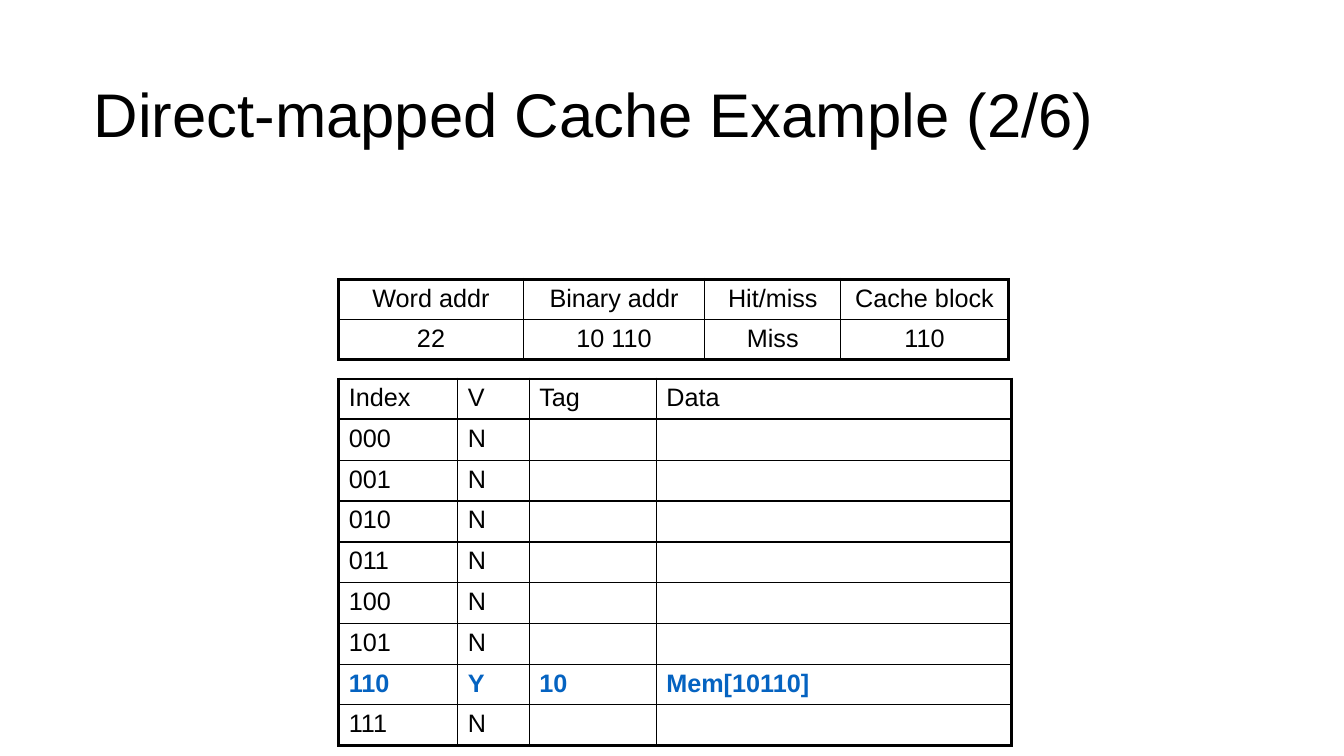
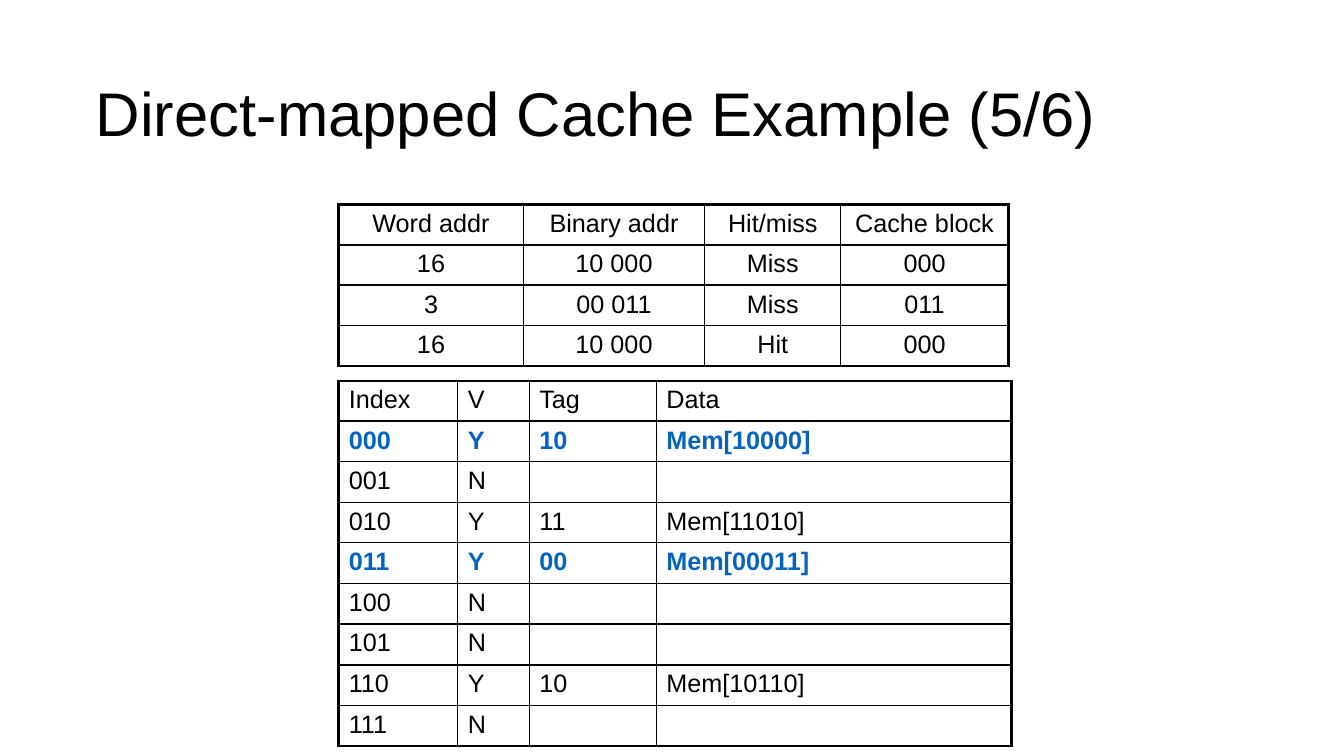
from lxml.etree import SubElement
from pptx import Presentation
from pptx.dml.color import RGBColor
from pptx.enum.text import MSO_ANCHOR, MSO_AUTO_SIZE, PP_ALIGN
from pptx.oxml.ns import qn
from pptx.util import Inches, Pt

SLIDE_W, SLIDE_H = 13.33, 7.5
FONT = "Arial"
BLACK, BLUE = "000000", "0563C1"
OUTER, HEADER, INNER = 2.25, 1.5, 1
LEFT, ROW = 3.36, 0.4
INDEX_COLS = (1.18, 0.71, 1.26, 3.52)
ACCESS_COLS = (1.83, 1.8, 1.35, 1.66)
INDEX_HEAD = ("Index", "V", "Tag", "Data")
ACCESS_HEAD = ("Word addr", "Binary addr", "Hit/miss", "Cache block")

EXAMPLES = [
    dict(
        title="Direct-mapped Cache Example (2/6)",
        title_box=(0.83, 0.7, 10.63, 0.93),
        access_top=2.77,
        index_top=3.76,
        accesses=[("22", "10 110", "Miss", "110")],
        stored={"110": ("10", "Mem[10110]")},
        marked=("110",),
    ),
    dict(
        title="Direct-mapped Cache Example (5/6)",
        title_box=(0.85, 0.68, 10.63, 0.95),
        access_top=2.03,
        index_top=3.78,
        accesses=[
            ("16", "10 000", "Miss", "000"),
            ("3", "00 011", "Miss", "011"),
            ("16", "10 000", "Hit", "000"),
        ],
        stored={
            "000": ("10", "Mem[10000]"),
            "010": ("11", "Mem[11010]"),
            "011": ("00", "Mem[00011]"),
            "110": ("10", "Mem[10110]"),
        },
        marked=("000", "011"),
    ),
]


def rgb(color):
    """Turn a hex string into a colour."""
    return RGBColor.from_string(color)


def write(tf, text, size=18, color=BLACK, bold=False, align=PP_ALIGN.LEFT, spacing=None):
    """Put one formatted paragraph into a text frame."""
    p = tf.paragraphs[0]
    p.alignment = align
    p.line_spacing = spacing
    r = p.add_run()
    r.text = text
    r.font.name = FONT
    r.font.size = Pt(size)
    r.font.bold = bold
    r.font.color.rgb = rgb(color)


def set_borders(cell, **widths):
    """Draw the cell's borders, given as side=points in L, R, T, B order."""
    tc_pr = cell._tc.get_or_add_tcPr()
    for side, width in widths.items():
        ln = SubElement(tc_pr, qn(f"a:ln{side}"), w=str(Pt(width)))
        fill = SubElement(ln, qn("a:solidFill"))
        SubElement(fill, qn("a:srgbClr"), val=BLACK)


def add_title(slide, text, box):
    """Move the title placeholder into the box and fill it."""
    sp = slide.shapes.title
    sp.left, sp.top, sp.width, sp.height = map(Inches, box)
    tf = sp.text_frame
    tf.auto_size = MSO_AUTO_SIZE.NONE
    tf.vertical_anchor = MSO_ANCHOR.MIDDLE
    write(tf, text, size=44, spacing=0.9)


def add_grid(slide, rows, cols, left, top, align=PP_ALIGN.LEFT, rule=INNER, marked=()):
    """Add a framed table whose marked rows, named by first cell, stand out."""
    frame = slide.shapes.add_table(
        len(rows), len(cols), Inches(left), Inches(top),
        Inches(sum(cols)), Inches(ROW * len(rows)),
    )
    table = frame.table
    table.first_row = table.horz_banding = False
    for column, width in zip(table.columns, cols):
        column.width = Inches(width)
    levels = [OUTER, HEADER] + [rule] * (len(rows) - 2) + [OUTER]
    edges = [OUTER] + [INNER] * (len(cols) - 1) + [OUTER]
    for i, row in enumerate(rows):
        table.rows[i].height = Inches(ROW)
        hot = row[0] in marked
        for j, text in enumerate(row):
            cell = table.cell(i, j)
            set_borders(cell, L=edges[j], R=edges[j + 1], T=levels[i], B=levels[i + 1])
            cell.fill.background()
            if text:
                write(cell.text_frame, text, color=BLUE if hot else BLACK, bold=hot, align=align)


def index_rows(stored):
    """List all eight cache blocks with their valid bit, tag and data."""
    rows = [INDEX_HEAD]
    for block in range(8):
        index = f"{block:03b}"
        valid = "Y" if index in stored else "N"
        rows.append((index, valid, *stored.get(index, ("", ""))))
    return rows


def add_example(prs, title, title_box, access_top, index_top, accesses, stored, marked):
    """Add a slide with the accesses above the state of the cache."""
    slide = prs.slides.add_slide(prs.slide_layouts[5])
    add_title(slide, title, title_box)
    add_grid(slide, index_rows(stored), INDEX_COLS, LEFT, index_top, marked=marked)
    add_grid(slide, [ACCESS_HEAD, *accesses], ACCESS_COLS, LEFT, access_top,
             align=PP_ALIGN.CENTER, rule=HEADER)


def main():
    """Build and save the presentation."""
    prs = Presentation()
    prs.slide_width, prs.slide_height = Inches(SLIDE_W), Inches(SLIDE_H)
    for example in EXAMPLES:
        add_example(prs, **example)
    prs.save("out.pptx")


if __name__ == "__main__":
    main()
